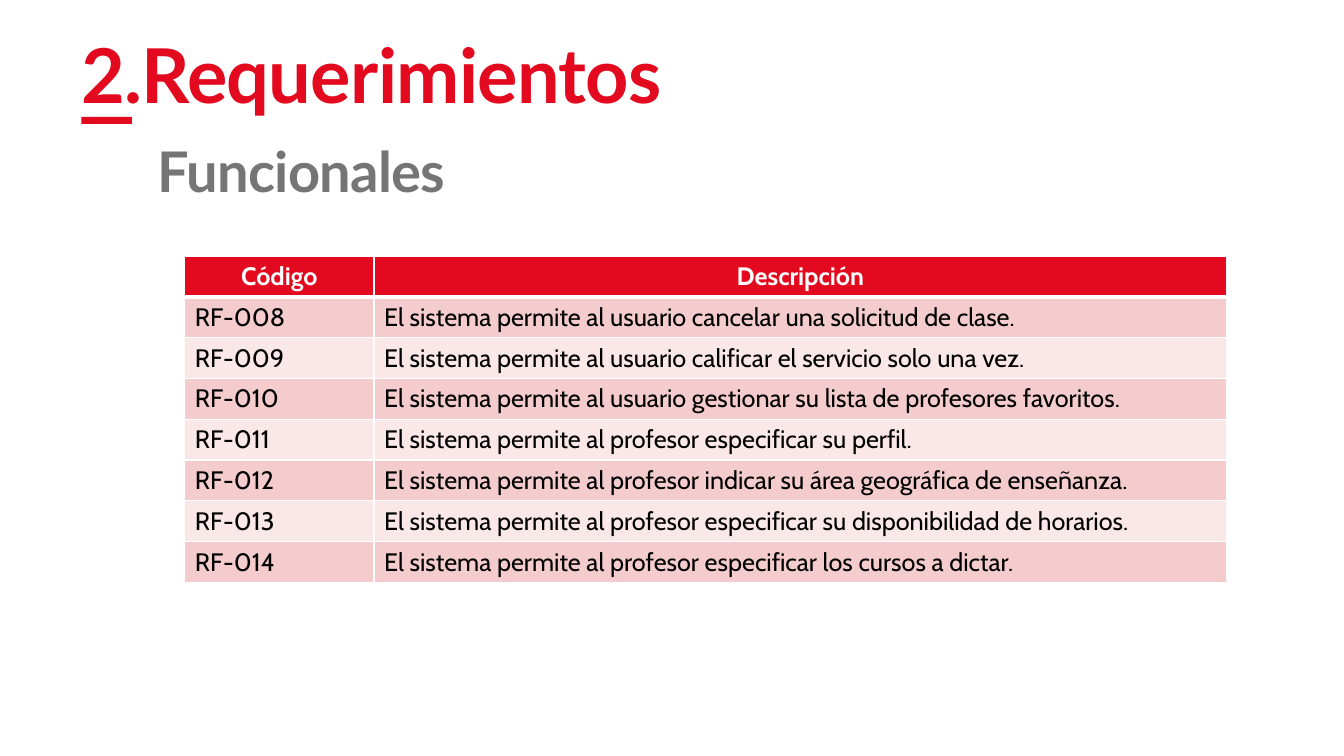
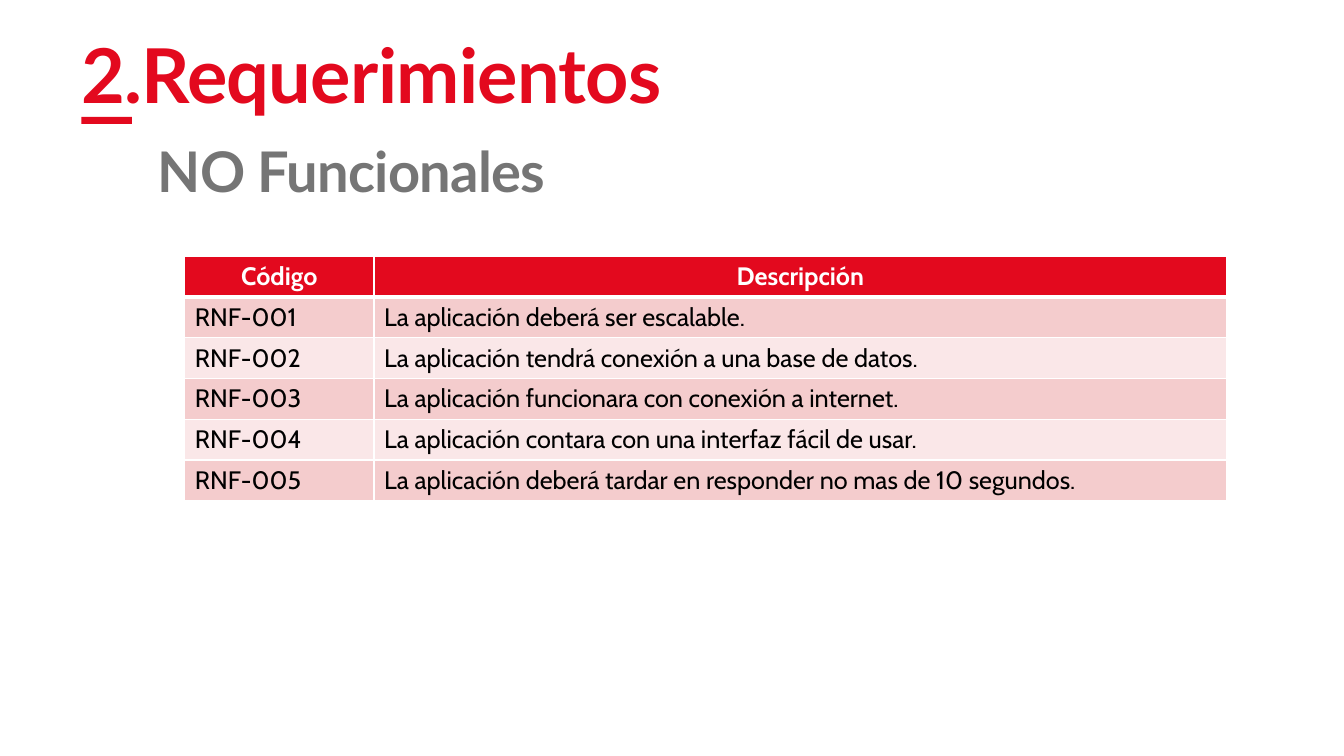
import dataclasses

import pptx
import pptx.dml.color
import pptx.enum.shapes
import pptx.enum.text
import pptx.oxml
import pptx.oxml.ns
import pptx.util

Pt = pptx.util.Pt
ALIGN = pptx.enum.text.PP_ALIGN

COLORS = {
    "red": "E3091E",
    "gray": "757575",
    "band_dark": "F4CCCD",
    "band_light": "FAE7E8",
    "white": "FFFFFF",
    "black": "000000",
}
HEADING_FONT, TABLE_FONT = "Lato", "Cabin"

TITLE = "2.Requerimientos"
HEADERS = ("Código", "Descripción")
TABLE_LEFT, TABLE_TOP = 132, 182.9
COL_WIDTHS = (135.2, 609.1)
ROW_HEIGHT = 29.16
BORDER, HEADER_BORDER = 1, 3


@dataclasses.dataclass(frozen=True)
class Requirements:
    subtitle: str
    prefix: str
    first: int
    descriptions: tuple[str, ...]

    def rows(self) -> list[tuple[str, str]]:
        return [(f"{self.prefix}-{n:03d}", text)
                for n, text in enumerate(self.descriptions, self.first)]


SLIDES = (
    Requirements("Funcionales", "RF", 8, (
        "El sistema permite al usuario cancelar una solicitud de clase.",
        "El sistema permite al usuario calificar el servicio solo una vez.",
        "El sistema permite al usuario gestionar su lista de profesores favoritos.",
        "El sistema permite al profesor especificar su perfil.",
        "El sistema permite al profesor indicar su área geográfica de enseñanza.",
        "El sistema permite al profesor especificar su disponibilidad de horarios.",
        "El sistema permite al profesor especificar los cursos a dictar.",
    )),
    Requirements("NO Funcionales", "RNF", 1, (
        "La aplicación deberá ser escalable.",
        "La aplicación tendrá conexión a una base de datos.",
        "La aplicación funcionara con conexión a internet.",
        "La aplicación contara con una interfaz fácil de usar.",
        "La aplicación deberá tardar en responder no mas de 10 segundos.",
    )),
)


def rgb(name: str) -> pptx.dml.color.RGBColor:
    return pptx.dml.color.RGBColor.from_string(COLORS[name])


def write(tf, text: str, *, size: float, font: str, color: str,
          bold: bool = False, align=ALIGN.LEFT, spacing: float = 0) -> None:
    p = tf.paragraphs[0]
    p.alignment = align
    r = p.add_run()
    r.text = text
    r.font.size, r.font.name, r.font.bold = Pt(size), font, bold
    r.font.color.rgb = rgb(color)
    if spacing:
        r.font._element.set("spc", str(round(spacing * 100)))


def add_heading(s, text: str, left: float, top: float, size: float, color: str) -> None:
    tf = s.shapes.add_textbox(Pt(left), Pt(top), Pt(789), Pt(53.3)).text_frame
    tf.word_wrap = True
    tf.vertical_anchor = pptx.enum.text.MSO_ANCHOR.BOTTOM
    tf.margin_left = tf.margin_right = Pt(7.2)
    tf.margin_top, tf.margin_bottom = Pt(2.2), Pt(3.6)
    write(tf, text, size=size, font=HEADING_FONT, color=color, bold=True,
          align=ALIGN.JUSTIFY, spacing=-0.5)


def add_title_bar(s) -> None:
    sp = s.shapes.add_shape(pptx.enum.shapes.MSO_SHAPE.RECTANGLE,
                            Pt(58.2), Pt(83.6), Pt(36), Pt(5))
    sp.shadow.inherit = False
    sp.fill.solid()
    sp.fill.fore_color.rgb = rgb("red")
    sp.line.fill.background()


def set_borders(cell, top: float, bottom: float) -> None:
    tc_pr = cell._tc.get_or_add_tcPr()
    for side, width in (("L", BORDER), ("R", BORDER), ("T", top), ("B", bottom)):
        tc_pr.append(pptx.oxml.parse_xml(
            f'<a:ln{side} {pptx.oxml.ns.nsdecls("a")} w="{Pt(width)}"><a:solidFill>'
            f'<a:srgbClr val="{COLORS["white"]}"/></a:solidFill></a:ln{side}>'))


def add_requirements_table(s, rows: list[tuple[str, str]]) -> None:
    lines = [HEADERS, *rows]
    table = s.shapes.add_table(len(lines), len(HEADERS), Pt(TABLE_LEFT), Pt(TABLE_TOP),
                               Pt(sum(COL_WIDTHS)), Pt(ROW_HEIGHT * len(lines))).table
    table.horz_banding = False
    for col, width in zip(table.columns, COL_WIDTHS):
        col.width = Pt(width)
    for i, line in enumerate(lines):
        table.rows[i].height = Pt(ROW_HEIGHT)
        header = i == 0
        fill = "red" if header else ("band_dark" if i % 2 else "band_light")
        for j, text in enumerate(line):
            cell = table.cell(i, j)
            # Borders come before the fill in the cell properties
            set_borders(cell, top=HEADER_BORDER if i == 1 else BORDER,
                        bottom=HEADER_BORDER if header else BORDER)
            cell.fill.solid()
            cell.fill.fore_color.rgb = rgb(fill)
            write(cell.text_frame, text, size=18, font=TABLE_FONT, bold=header,
                  color="white" if header else "black",
                  align=ALIGN.CENTER if header else ALIGN.LEFT)


def main() -> None:
    prs = pptx.Presentation()
    prs.slide_width, prs.slide_height = Pt(960), Pt(540)
    for content in SLIDES:
        s = prs.slides.add_slide(prs.slide_layouts[6])
        # Shared heading
        add_heading(s, TITLE, 51.1, 35.3, 54, "red")
        add_title_bar(s)
        # Slide content
        add_requirements_table(s, content.rows())
        add_heading(s, content.subtitle, 105.8, 95.8, 40, "gray")
    prs.save("out.pptx")


if __name__ == "__main__":
    main()
